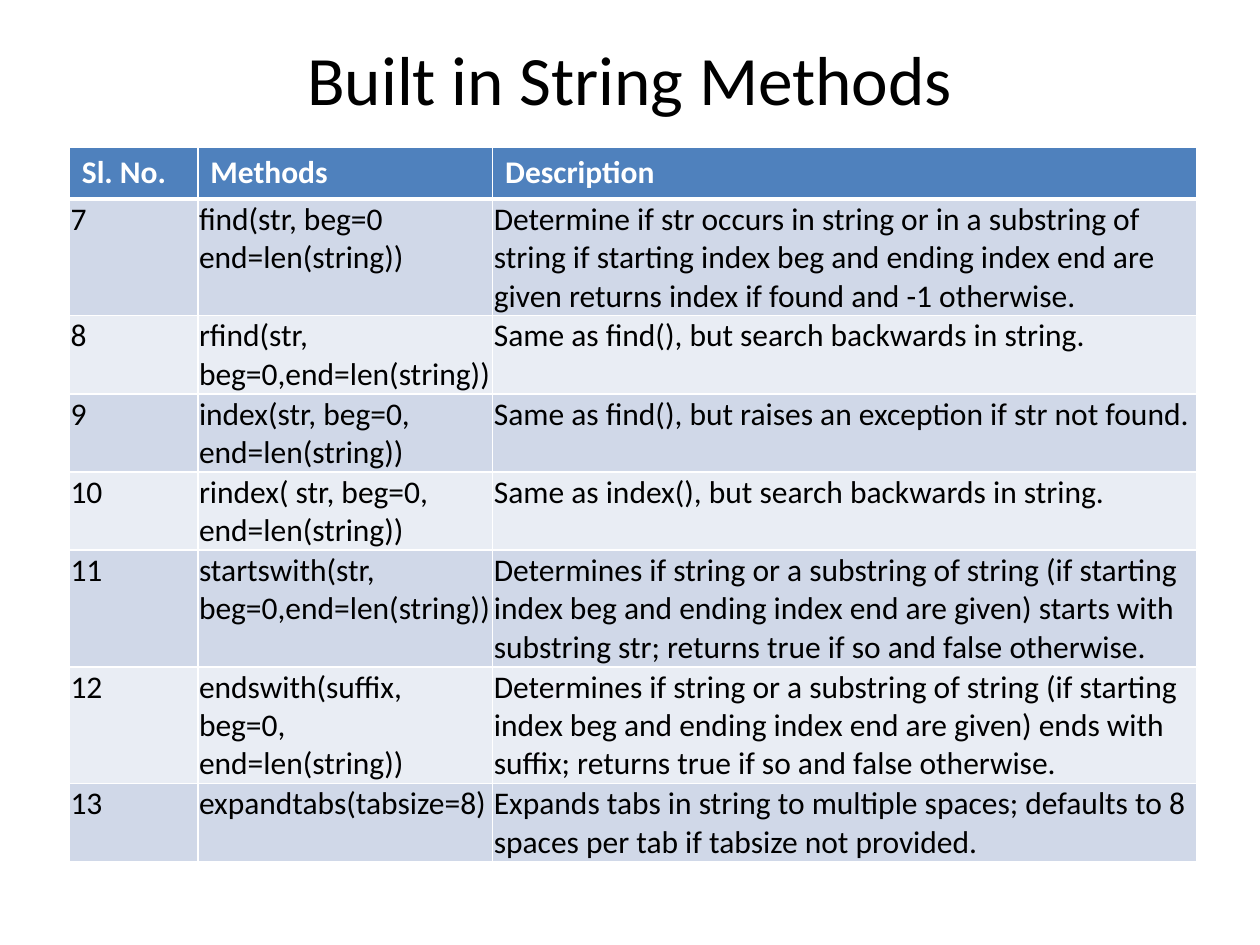
import pptx
import pptx.util
import pptx.dml.color
import pptx.enum.text
import pptx.oxml
import pptx.oxml.ns

Inches = pptx.util.Inches
Pt = pptx.util.Pt

HEADERS = ["Sl. No.", "Methods", "Description"]
METHODS = [
    ("7", "find(str, beg=0 end=len(string))",
     "Determine if str occurs in string or in a substring of string if starting index beg "
     "and ending index end are given returns index if found and -1 otherwise."),
    ("8", "rfind(str, beg=0,end=len(string))",
     "Same as find(), but search backwards in string."),
    ("9", "index(str, beg=0, end=len(string))",
     "Same as find(), but raises an exception if str not found."),
    ("10", "rindex( str, beg=0, end=len(string))",
     "Same as index(), but search backwards in string."),
    ("11", "startswith(str, beg=0,end=len(string))",
     "Determines if string or a substring of string (if starting index beg and ending index "
     "end are given) starts with substring str; returns true if so and false otherwise."),
    ("12", "endswith(suffix, beg=0, end=len(string))",
     "Determines if string or a substring of string (if starting index beg and ending index "
     "end are given) ends with suffix; returns true if so and false otherwise."),
    ("13", "expandtabs(tabsize=8)",
     "Expands tabs in string to multiple spaces; defaults to 8 spaces per tab if tabsize "
     "not provided."),
]


def rgb(value):
    return pptx.dml.color.RGBColor.from_string(value)


def set_all(target, values):
    for name, value in values.items():
        setattr(target, name, value)


class Deck:
    font = "Calibri"
    black, white = "000000", "FFFFFF"
    header_fill, bands = "4F81BD", ("D0D8E8", "E9EDF4")
    body_margins = {
        "margin_left": Inches(0.01), "margin_right": Inches(0.01),
        "margin_top": Inches(0.01), "margin_bottom": 0,
    }

    def __init__(self, prs):
        self.s = prs.slides.add_slide(prs.slide_layouts[5])

    def add_text(self, p, text, size, color, bold=False):
        r = p.add_run()
        r.text = text
        set_all(r.font, {"name": self.font, "size": Pt(size), "bold": bold})
        r.font.color.rgb = rgb(color)

    def title(self, text, left, top, width, height):
        sp = self.s.shapes.title
        set_all(sp, {"left": Inches(left), "top": Inches(top),
                     "width": Inches(width), "height": Inches(height)})
        tf = sp.text_frame
        set_all(tf, {"word_wrap": True,
                     "auto_size": pptx.enum.text.MSO_AUTO_SIZE.NONE,
                     "vertical_anchor": pptx.enum.text.MSO_ANCHOR.MIDDLE})
        p = tf.paragraphs[0]
        p.alignment = pptx.enum.text.PP_ALIGN.CENTER
        self.add_text(p, text, 39.6, self.black)

    def borders(self, cell, top, bottom):
        tc_pr = cell._tc.get_or_add_tcPr()
        for side, width in (("L", 1), ("R", 1), ("T", top), ("B", bottom)):
            tc_pr.append(pptx.oxml.parse_xml(
                f'<a:ln{side} {pptx.oxml.ns.nsdecls("a")} w="{Pt(width)}">'
                f'<a:solidFill><a:srgbClr val="{self.white}"/></a:solidFill></a:ln{side}>'))

    def cell(self, cell, text, row):
        header = row == 0
        self.borders(cell, 3 if row == 1 else 1, 3 if header else 1)
        cell.fill.solid()
        cell.fill.fore_color.rgb = rgb(self.header_fill if header else self.bands[(row - 1) % 2])
        if not header:
            set_all(cell, self.body_margins)
        color = self.white if header else self.black
        self.add_text(cell.text_frame.paragraphs[0], text, 18, color, header)

    def table(self, rows, left, top, widths, row_height, height):
        sp = self.s.shapes.add_table(len(rows), len(widths), Inches(left), Inches(top),
                                     Inches(sum(widths)), Inches(row_height * len(rows)))
        for column, width in zip(sp.table.columns, widths):
            column.width = Inches(width)
        for i, texts in enumerate(rows):
            sp.table.rows[i].height = Inches(row_height)
            for j, text in enumerate(texts):
                self.cell(sp.table.cell(i, j), text, i)
        sp.height = Inches(height)


def main():
    prs = pptx.Presentation()
    set_all(prs, {"slide_width": Inches(10), "slide_height": Inches(7.5)})
    deck = Deck(prs)
    deck.title("Built in String Methods", 0.5, 0.3, 9, 0.64)
    deck.table([HEADERS, *METHODS], 0.55, 1.17, [1.02, 2.34, 5.59], 0.41, 5.58)
    prs.save("out.pptx")


if __name__ == "__main__":
    main()
